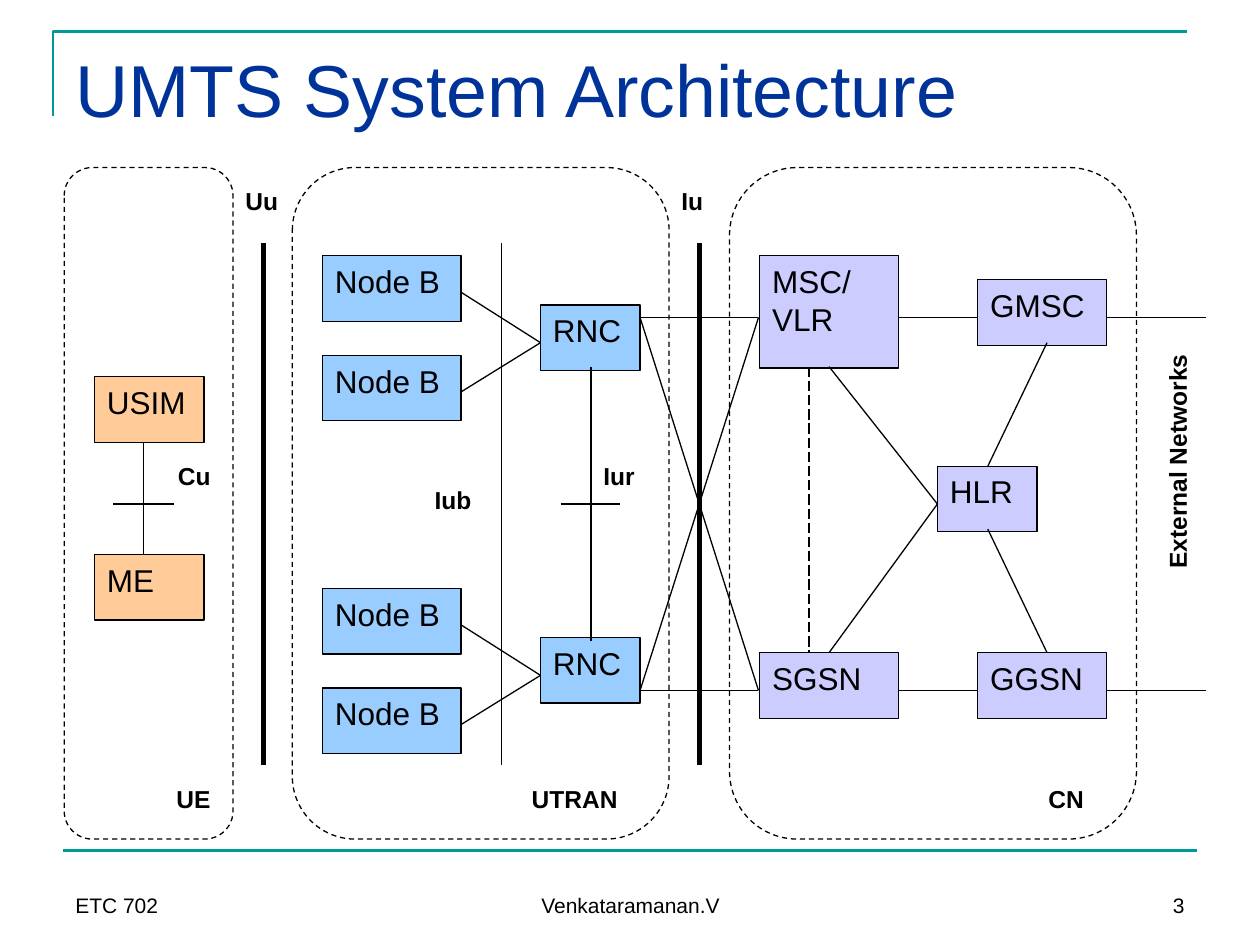
from lxml import etree
from pptx import Presentation
from pptx.dml.color import RGBColor
from pptx.enum.dml import MSO_LINE
from pptx.enum.shapes import MSO_CONNECTOR, MSO_SHAPE
from pptx.enum.text import MSO_ANCHOR, PP_ALIGN
from pptx.oxml.ns import qn
from pptx.util import Inches, Pt

BLACK = RGBColor(0x00, 0x00, 0x00)
TEAL = RGBColor(0x00, 0x99, 0x99)
NAVY = RGBColor(0x00, 0x33, 0x99)
PEACH = RGBColor(0xFF, 0xCC, 0x99)
SKY = RGBColor(0x99, 0xCC, 0xFF)
LILAC = RGBColor(0xCC, 0xCC, 0xFF)
DASH, LONG = MSO_LINE.DASH, MSO_LINE.LONG_DASH
LEFT, CENTER, RIGHT = PP_ALIGN.LEFT, PP_ALIGN.CENTER, PP_ALIGN.RIGHT
TOP, BOTTOM = MSO_ANCHOR.TOP, MSO_ANCHOR.BOTTOM
RECT, ROUND = MSO_SHAPE.RECTANGLE, MSO_SHAPE.ROUNDED_RECTANGLE
STRAIGHT = MSO_CONNECTOR.STRAIGHT
BOX_H = 0.52


def ink(line, color=BLACK, width=0.75, dash=None):
    line.color.rgb = color
    line.width = Pt(width)
    if dash:
        line.dash_style = dash


def write(shape, text, size, color=BLACK, bold=False, align=LEFT, anchor=TOP):
    frame = shape.text_frame
    frame.word_wrap = True
    frame.vertical_anchor = anchor
    frame.text = text
    para = frame.paragraphs[0]
    para.alignment = align
    font = para.font
    font.name, font.size, font.bold = "Arial", Pt(size), bold
    font.color.rgb = color


def label(slide, x, y, w, text, align=LEFT, h=0.42, turn=0):
    box = slide.shapes.add_textbox(Inches(x), Inches(y), Inches(w), Inches(h))
    box.rotation = turn
    write(box, text, 14, bold=True, align=align)


def block(slide, x, y, w, text, fill, h=BOX_H):
    box = slide.shapes.add_shape(RECT, Inches(x), Inches(y), Inches(w), Inches(h))
    box.shadow.inherit = False
    box.fill.solid()
    box.fill.fore_color.rgb = fill
    ink(box.line)
    write(box, text, 18)


def wire(slide, x1, y1, x2, y2, color=BLACK, width=0.75, dash=None):
    link = slide.shapes.add_connector(
        STRAIGHT, Inches(x1), Inches(y1), Inches(x2), Inches(y2))
    ink(link.line, color, width, dash)
    etree.SubElement(link._element.spPr, qn("a:effectLst"))


def zone(slide, x, y, w, h, text, edge):
    box = slide.shapes.add_shape(ROUND, Inches(x), Inches(y), Inches(w), Inches(h))
    box.shadow.inherit = False
    box.fill.background()
    ink(box.line, dash=DASH)
    label(slide, x + edge - 1.1, y + 4.84, 1.1, text, RIGHT)


def draw_frame(slide, x, y, w, h):
    path = slide.shapes.build_freeform(Inches(x), Inches(y + 0.67))
    path.add_line_segments(
        [(Inches(x), Inches(y)), (Inches(x + w), Inches(y))], close=False)
    rule = path.convert_to_shape()
    rule.shadow.inherit = False
    rule.fill.background()
    ink(rule.line, TEAL, 1.5)
    wire(slide, x + 0.08, y + h, x + 0.08 + w, y + h, TEAL, 1.5)
    title = slide.shapes.add_textbox(
        Inches(x + 0.08), Inches(y + 0.05), Inches(w), Inches(1.25))
    write(title, "UMTS System Architecture", 42, NAVY)
    for dx, wide, text, align in (
            (0.08, 2.33, "ETC 702", LEFT),
            (3, 3.17, "Venkataramanan.V", CENTER),
            (6.75, 2.33, "3", RIGHT)):
        foot = slide.shapes.add_textbox(
            Inches(x + dx), Inches(y + h + 0.08), Inches(wide), Inches(0.5))
        write(foot, text, 12, align=align, anchor=BOTTOM)


def draw_user(slide, x, y, w, h):
    zone(slide, x, y, w, h, "UE", 1.26)
    for dy, text in ((1.66, "USIM"), (3.07, "ME")):
        block(slide, x + 0.24, y + dy, 0.87, text, PEACH)
    wire(slide, x + 0.63, y + 1.66 + BOX_H, x + 0.63, y + 3.07)
    wire(slide, x + 0.39, y + 2.67, x + 0.87, y + 2.67)
    label(slide, x + 0.71, y + 2.28, 0.55, "Cu", RIGHT)


def draw_cell(slide, x, y):
    for dy in (0, 0.79):
        block(slide, x, y + dy, 1.1, "Node B", SKY)
        wire(slide, x + 1.1, y + dy + 0.29, x + 1.73, y + 0.69)
    block(slide, x + 1.73, y + 0.39, 0.79, "RNC", SKY)


def draw_radio(slide, x, y, w, h):
    zone(slide, x, y, w, h, "UTRAN", 2.68)
    for dy in (0.7, 3.34):
        draw_cell(slide, x + 0.24, y + dy)
    wire(slide, x + 2.37, y + 1.58, x + 2.37, y + 3.76)
    wire(slide, x + 2.13, y + 2.67, x + 2.6, y + 2.67)
    wire(slide, x + 1.66, y + 0.6, x + 1.66, y + 4.74)
    label(slide, x + 1.03, y + 2.47, 0.55, "Iub")
    label(slide, x + 2.37, y + 2.28, 0.55, "Iur")


def draw_core(slide, x, y, w, h):
    zone(slide, x, y, w, h, "CN", 2.91)
    for dx, dy, wide, high, text in (
            (0.24, 0.7, 1.1, 0.89, "MSC/\vVLR"),
            (1.97, 0.89, 1.02, BOX_H, "GMSC"),
            (1.65, 2.37, 0.79, BOX_H, "HLR"),
            (0.24, 3.85, 1.1, BOX_H, "SGSN"),
            (1.97, 3.85, 1.02, BOX_H, "GGSN")):
        block(slide, x + dx, y + dy, wide, text, LILAC, high)
    for dy in (1.19, 4.15):
        wire(slide, x + 1.34, y + dy, x + 1.97, y + dy)
        wire(slide, x + 2.99, y + dy, x + 3.78, y + dy)
    for mid, end, near, far in ((2.67, 1.58, 2.37, 1.39), (2.67, 3.85, 2.87, 3.85)):
        wire(slide, x + 0.79, y + end, x + 1.65, y + mid)
        wire(slide, x + 2.05, y + near, x + 2.52, y + far)
    wire(slide, x + 0.63, y + 1.58, x + 0.63, y + 3.85, dash=LONG)
    label(slide, x + 2.21, y + 2.56, 2.68, "External Networks", RIGHT, 0.33, 270)


def draw_gap(slide, x, y, w, h, text):
    label(slide, x, y + 0.1, w, text)
    wire(slide, x + 0.24, y + 0.6, x + 0.24, y + h - 0.59, width=3)


def draw_mesh(slide, x, y, w, h):
    for start in (y, y + h):
        for end in (y, y + h):
            wire(slide, x, start, x + w, end)


def main():
    deck = Presentation()
    deck.slide_width, deck.slide_height = Inches(10), Inches(7.5)
    slide = deck.slides.add_slide(deck.slide_layouts[6])
    top, high = 1.33, 5.33
    draw_frame(slide, 0.42, 0.25, 9, 6.5)
    draw_user(slide, 0.51, top, 1.34, high)
    draw_radio(slide, 2.32, top, 2.99, high)
    draw_core(slide, 5.79, top, 3.23, high)
    draw_mesh(slide, 5.08, 2.52, 0.94, 2.96)
    draw_gap(slide, 1.85, top, 0.47, high, "Uu")
    draw_gap(slide, 5.31, top, 0.47, high, "Iu")
    deck.save("out.pptx")


if __name__ == "__main__":
    main()
